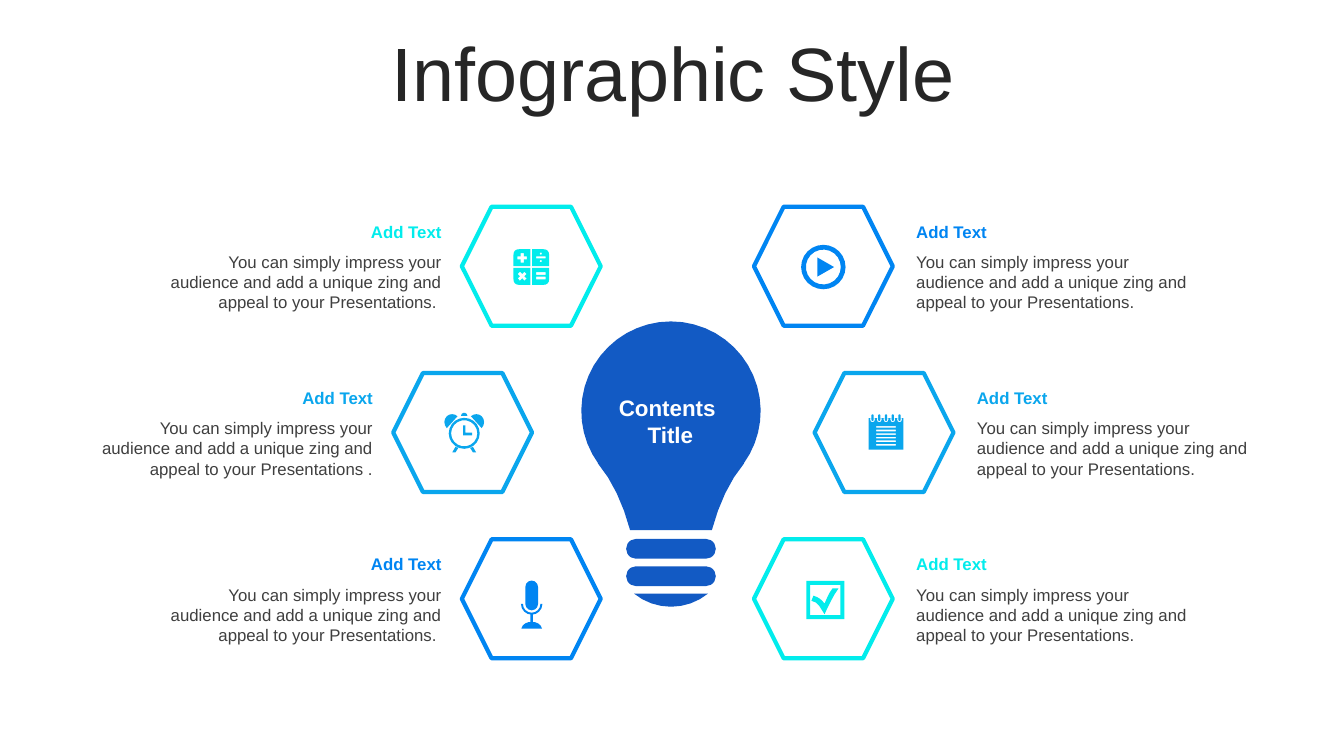
import math
from dataclasses import dataclass

import pptx
import pptx.dml.color
import pptx.enum.shapes
import pptx.enum.text
import pptx.oxml.ns
import pptx.util
from lxml import etree

Cm = pptx.util.Cm
SHAPE = pptx.enum.shapes.MSO_SHAPE
ALIGN = pptx.enum.text.PP_ALIGN
ANCHOR = pptx.enum.text.MSO_ANCHOR


@dataclass(frozen=True)
class Theme:
    """Colours, font and type sizes of the slide."""
    font: str = "Arial"
    title: str = "262626"
    body: str = "3F3F3F"
    white: str = "FFFFFF"
    bulb: str = "125AC4"
    blue: str = "0085F2"
    sky: str = "0AA6ED"
    cyan: str = "02ECEC"
    title_size: int = 54
    centre_size: int = 16
    text_size: int = 12
    outline: int = 3


THEME = Theme()
BLURB = "You can simply impress your audience and add a unique zing and appeal to your Presentations"


def rgb(colour):
    """Turn a hex string into a colour."""
    return pptx.dml.color.RGBColor.from_string(colour)


def box(x, y, w, h):
    """Outline a rectangle."""
    return [(x, y), (x + w, y), (x + w, y + h), (x, y + h)]


def arc(cx, cy, r, start, end):
    """Sample an arc, with angles in degrees clockwise from the right."""
    n = max(3, round(abs(end - start) / 360 * 32 * math.sqrt(r)))
    angles = [math.radians(start + (end - start) * i / n) for i in range(n + 1)]
    return [(cx + r * math.cos(a), cy + r * math.sin(a)) for a in angles]


def curve(*points):
    """Sample a chain of cubic curves."""
    out = [points[0]]
    for k in range(0, len(points) - 1, 3):
        a, b, c, d = points[k:k + 4]
        for i in range(1, 5):
            t = i / 4
            weights = (1 - t) ** 3, 3 * t * (1 - t) ** 2, 3 * t * t * (1 - t), t ** 3
            out.append(tuple(sum(w * p[n] for w, p in zip(weights, (a, b, c, d))) for n in (0, 1)))
    return out


def mirror(points, sx=-1, sy=1):
    """Reflect an outline about the axes."""
    return [(sx * x, sy * y) for x, y in points]


def capsule(cx, top, bottom, r):
    """Outline an upright pill."""
    return arc(cx, top + r, r, 180, 360) + arc(cx, bottom - r, r, 0, 180)


def play_icon():
    """Outline a play button."""
    return [arc(0, 0, .56, 0, 360), arc(0, 0, .44, 0, 360), [(-.15, -.24), (.27, 0), (-.15, .24)]]


def check_icon():
    """Outline a ticked box."""
    tick = curve((-.3, .03), (-.13, .05), (-.05, .25), (.03, .37), (.13, .15), (.25, -.1), (.38, -.28))
    tick += curve((.23, -.28), (.13, -.15), (.1, -.05), (.03, .1), (-.05, 0), (-.1, -.05), (-.25, -.1))
    return [box(-.43, -.47, .96, .96), box(-.33, -.37, .76, .76), tick]


def calculator_icon():
    """Outline four keys with arithmetic signs."""
    key = [(.02, .02), (.45, .02)] + curve((.45, .3), (.45, .4), (.4, .45), (.3, .45)) + [(.02, .45)]
    a, b = .12, .04
    plus = [(-b, -a), (b, -a), (b, -b), (a, -b), (a, b), (b, b),
            (b, a), (-b, a), (-b, b), (-a, b), (-a, -b), (-b, -b)]
    times = [((x - y) * .71, (x + y) * .71) for x, y in plus]
    signs = [[(x - .23, y + dy) for x, y in sign] for sign, dy in ((plus, -.23), (times, .23))]
    dots = [arc(.24, y, .03, 0, 360) for y in (-.34, -.15)]
    bars = [box(.12, y, .24, h) for y, h in ((-.27, .05), (.13, .07), (.24, .07))]
    return [mirror(key, sx, sy) for sx in (-1, 1) for sy in (-1, 1)] + signs + dots + bars


def clock_icon():
    """Outline an alarm clock."""
    hands = [(-.03, -.2), (.03, -.2), (.03, -.02), (.2, -.02), (.2, .05), (-.03, .05)]
    foot = [(.22, .34), (.3, .48), (.22, .48), (.15, .37)]
    bell = curve((.17, -.43), (.24, -.5), (.37, -.5), (.44, -.43), (.52, -.35), (.52, -.22), (.44, -.13))
    return [arc(0, 0, .39, 0, 360), arc(0, 0, .33, 0, 360), hands, foot, mirror(foot),
            bell, mirror(bell), arc(0, -.44, .08, 180, 360)]


def notepad_icon():
    """Outline a ring-bound notepad."""
    outlines = [box(-.44, -.38, .88, .79)]
    outlines += [box(-.25, -.18 + .09 * i, .5, .04) for i in range(6)]
    for i in range(5):
        x = -.34 + .17 * i
        outlines.append(arc(x, -.34, .06, 180, 0) + [(x + .06, -.38), (x - .06, -.38)])
        outlines.append(capsule(x, -.48, -.31, .03))
    return outlines


def microphone_icon():
    """Outline a microphone on a stand."""
    cradle = arc(0, .11, .27, 0, 180) + arc(0, .11, .22, 180, 0)
    base = curve((-.26, .73), (-.24, .62), (-.12, .56), (0, .56), (.12, .56), (.24, .62), (.26, .73))
    return [capsule(0, -.48, .27, .16), cradle, box(-.03, .38, .06, .18), base]


def paint(sp, fill=None, line=None, alpha=100):
    """Set fill and outline and remove the shadow."""
    sp.shadow.inherit = False
    if fill:
        sp.fill.solid()
        sp.fill.fore_color.rgb = rgb(fill)
        if alpha < 100:
            clr = sp.element.spPr.find(".//" + pptx.oxml.ns.qn("a:srgbClr"))
            etree.SubElement(clr, pptx.oxml.ns.qn("a:alpha"), val=str(alpha * 1000))
    else:
        sp.fill.background()
    if line:
        sp.line.color.rgb = rgb(line)
        sp.line.width = pptx.util.Pt(THEME.outline)
    else:
        sp.line.fill.background()


def add_shape(s, kind, x, y, w, h, **style):
    """Add a painted preset shape."""
    sp = s.shapes.add_shape(kind, Cm(x), Cm(y), Cm(w), Cm(h))
    paint(sp, **style)
    return sp


def add_outline(s, x, y, outlines, colour):
    """Add one filled shape made of outlines around a centre."""
    points = [[(Cm(x + px), Cm(y + py)) for px, py in outline] for outline in outlines]
    builder = s.shapes.build_freeform(*points[0][0])
    for i, outline in enumerate(points):
        if i:
            builder.move_to(*outline[0])
        builder.add_line_segments(outline[1:], close=True)
    paint(builder.convert_to_shape(), fill=colour)


def write(tf, text, size, colour, align, anchor, bold=False):
    """Fill a text frame and format its runs."""
    tf.text = text
    tf.word_wrap = True
    tf.auto_size = pptx.enum.text.MSO_AUTO_SIZE.NONE
    tf.vertical_anchor = anchor
    for p in tf.paragraphs:
        p.alignment = align
        for r in p.runs:
            r.font.name = THEME.font
            r.font.size = pptx.util.Pt(size)
            r.font.bold = bold
            r.font.color.rgb = rgb(colour)


def add_text(s, x, y, w, h, *style, **options):
    """Add a formatted text box."""
    write(s.shapes.add_textbox(Cm(x), Cm(y), Cm(w), Cm(h)).text_frame, *style, **options)


def add_title(s, text):
    """Fill the title placeholder."""
    sp = s.shapes.title
    sp.left, sp.top, sp.width, sp.height = Cm(.89), Cm(.94), Cm(32.16), Cm(2.01)
    write(sp.text_frame, text, THEME.title_size, THEME.title, ALIGN.CENTER, ANCHOR.MIDDLE)
    sp.text_frame.paragraphs[0].line_spacing = .9


def add_bulb(s, x, y):
    """Draw the light bulb with its caption."""
    side = curve((1.84, 1.32), (1.48, 1.75), (1.21, 2.33), (1.03, 3))
    add_outline(s, x, y, [arc(0, 0, 2.26, 144, 396) + side + mirror(side)[::-1]], THEME.bulb)
    for dy in (3.22, 3.91):
        ring = add_shape(s, SHAPE.ROUNDED_RECTANGLE, x - 1.13, y + dy, 2.26, .5, fill=THEME.bulb)
        ring.adjustments[0] = .5
    add_outline(s, x, y, [arc(0, 3.45, 1.48, 51, 129)], THEME.bulb)
    add_text(s, x - 1.82, y - .56, 3.61, 1.63, "Contents \nTitle", THEME.centre_size,
             THEME.white, ALIGN.CENTER, ANCHOR.MIDDLE, bold=True)


def add_item(s, x, row, colour, alpha, icon, shift, on_right, ending):
    """Draw a hexagon with its icon, heading and text."""
    y = 6.71 + 4.19 * row
    fill = THEME.white if alpha else None
    add_shape(s, SHAPE.HEXAGON, x - 1.75, y - 1.5, 3.5, 3, fill=fill, line=colour, alpha=alpha)
    add_outline(s, x + shift, y + .02, icon, colour)
    left, align = (x + 2.09, ALIGN.LEFT) if on_right else (x - 9.6, ALIGN.RIGHT)
    add_text(s, left, y - 1.26, 7.59, .76, "Add Text", THEME.text_size, colour,
             align, ANCHOR.MIDDLE, bold=True)
    add_text(s, left, y - .49, 7.59, 1.8, BLURB + ending, THEME.text_size, THEME.body,
             align, ANCHOR.TOP)


def main():
    """Build and save the slide."""
    prs = pptx.Presentation()
    prs.slide_width, prs.slide_height = Cm(33.87), Cm(19.05)
    s = prs.slides.add_slide(prs.slide_layouts[5])
    add_title(s, "Infographic Style")
    add_bulb(s, 16.91, 10.36)
    items = [
        (20.75, 0, THEME.blue, 30, play_icon(), 0, True, "."),
        (22.28, 1, THEME.sky, 10, notepad_icon(), .05, True, "."),
        (20.75, 2, THEME.cyan, 0, check_icon(), 0, True, "."),
        (13.39, 0, THEME.cyan, 0, calculator_icon(), 0, False, ". "),
        (11.66, 1, THEME.sky, 10, clock_icon(), .04, False, " ."),
        (13.39, 2, THEME.blue, 30, microphone_icon(), .01, False, ". "),
    ]
    for item in items:
        add_item(s, *item)
    prs.save("out.pptx")


if __name__ == "__main__":
    main()
